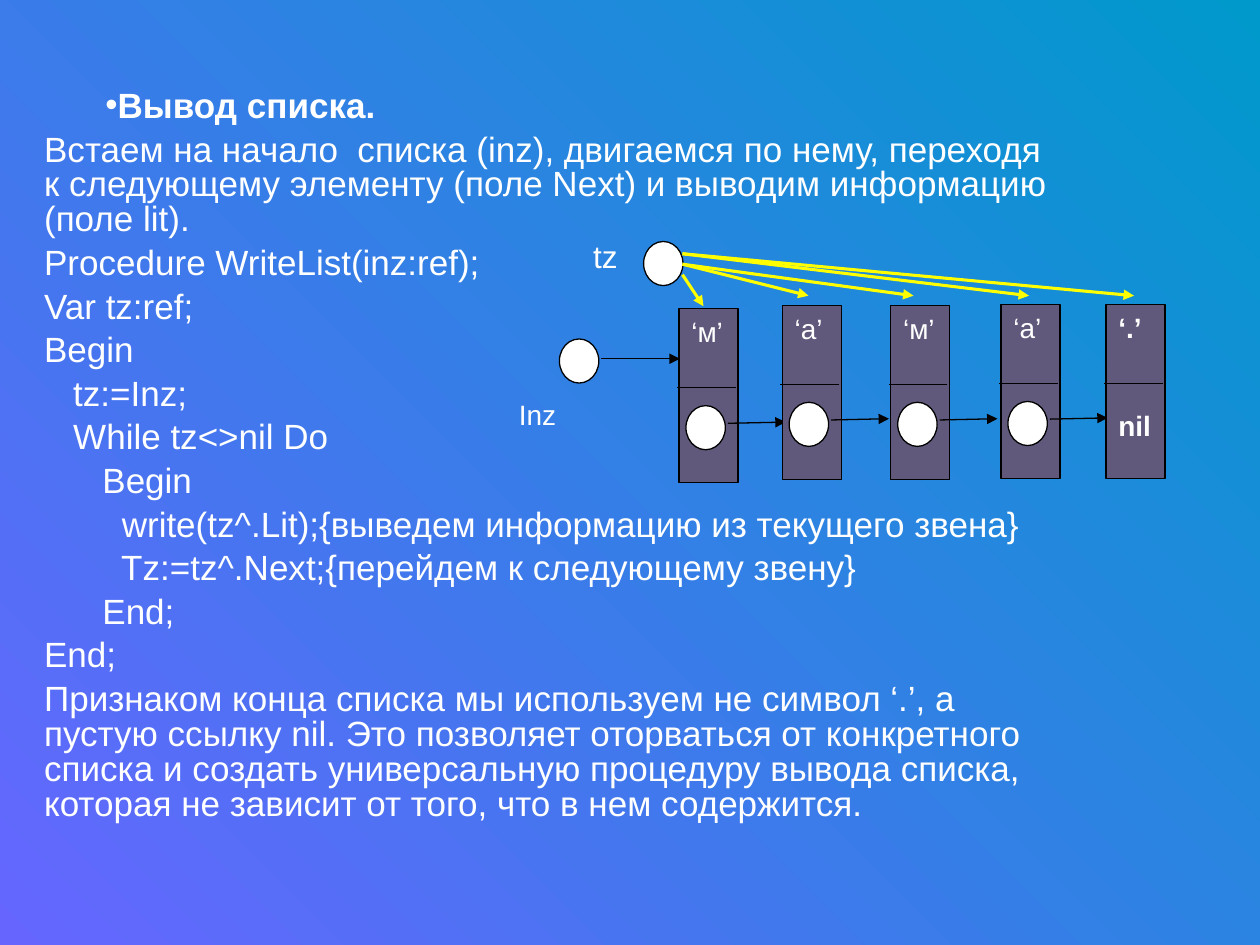
from dataclasses import dataclass

from lxml import etree
from pptx import Presentation
from pptx.dml import color
from pptx.enum import shapes, text
from pptx.oxml import ns
from pptx.util import Pt


@dataclass(frozen=True)
class Theme:
    font: str = "Arial"
    body_size: float = 20
    node_size: float = 16
    label_size: float = 18
    white: str = "FFFFFF"
    black: str = "000000"
    node: str = "60597B"
    pointer: str = "FFFF00"
    violet: str = "6666FF"
    teal: str = "0099CC"
    thin: float = 0.75
    thick: float = 1.75


@dataclass(frozen=True)
class Node:
    left: float
    top: float
    symbol: str
    last: bool = False


@dataclass(frozen=True)
class Arrow:
    start: tuple[float, float]
    end: tuple[float, float]


THEME = Theme()
NODE_WIDTH, NODE_HEIGHT = 33.8, 99.4
HEADING = "Вывод списка."
LINES = [
    "Встаем на начало  списка (inz), двигаемся по нему, переходя к следующему "
    "элементу (поле Next) и выводим информацию (поле lit).",
    "Procedure WriteList(inz:ref);",
    "Var tz:ref;",
    "Begin",
    "   tz:=Inz;",
    "   While tz<>nil Do",
    "      Begin",
    "        write(tz^.Lit);{выведем информацию из текущего звена}",
    "        Tz:=tz^.Next;{перейдем к следующему звену}",
    "      End;",
    "End;",
    "Признаком конца списка мы используем не символ ‘.’, а пустую ссылку nil. "
    "Это позволяет оторваться от конкретного списка и создать универсальную "
    "процедуру вывода списка, которая не зависит от того, что в нем содержится.",
]
NODES = [
    Node(388, 176.4, "‘м’"),
    Node(447, 174.5, "‘а’"),
    Node(509, 174.5, "‘м’"),
    Node(572, 174, "‘а’"),
    Node(632, 174, "‘.’", last=True),
]
TZ_ARROWS = [
    Arrow((390, 157), (402, 175)),
    Arrow((390, 151), (462, 169)),
    Arrow((390, 151), (522, 169)),
    Arrow((390, 145), (588, 169)),
    Arrow((390, 145), (648, 169)),
]


def rgb(value: str) -> color.RGBColor:
    return color.RGBColor.from_string(value)


def style_font(font, size: float, bold: bool = False) -> None:
    font.name = THEME.font
    font.size = Pt(size)
    font.bold = bold
    font.color.rgb = rgb(THEME.white)


def draw_line(page, arrow: Arrow, colour: str = THEME.black,
              weight: float = THEME.thin, head: bool = True) -> None:
    line = page.shapes.add_connector(
        shapes.MSO_CONNECTOR.STRAIGHT,
        *(Pt(value) for value in arrow.start + arrow.end))
    line.line.color.rgb = rgb(colour)
    line.line.width = Pt(weight)
    if head:
        etree.SubElement(line.line._get_or_add_ln(), ns.qn("a:tailEnd"), type="triangle")
    etree.SubElement(line._element.spPr, ns.qn("a:effectLst"))


def draw_shape(page, kind, left: float, top: float, width: float, height: float,
               fill: str):
    shape = page.shapes.add_shape(kind, Pt(left), Pt(top), Pt(width), Pt(height))
    shape.shadow.inherit = False
    shape.fill.solid()
    shape.fill.fore_color.rgb = rgb(fill)
    shape.line.color.rgb = rgb(THEME.black)
    shape.line.width = Pt(THEME.thin)
    return shape


def draw_pointer(page, left: float, top: float) -> None:
    draw_shape(page, shapes.MSO_SHAPE.OVAL, left, top, 22.5, 25.2, THEME.white)


def draw_node(page, node: Node) -> None:
    box = draw_shape(page, shapes.MSO_SHAPE.RECTANGLE, node.left, node.top,
                     NODE_WIDTH, NODE_HEIGHT, THEME.node)
    frame = box.text_frame
    frame.text = f"{node.symbol}\nnil" if node.last else node.symbol
    frame.vertical_anchor = text.MSO_ANCHOR.TOP
    for index, para in enumerate(frame.paragraphs):
        para.alignment = text.PP_ALIGN.LEFT
        if index:
            para.space_before = Pt(36.8)
        style_font(para.runs[0].font, THEME.node_size, bold=node.last)
    divider = node.top + 45.2
    draw_line(page, Arrow((node.left - 1, divider), (node.left + 32.4, divider)), head=False)
    if not node.last:
        draw_pointer(page, node.left + 4, node.top + 55.4)
        draw_line(page, Arrow((node.left + 28, node.top + 65.5),
                              (node.left + 61, node.top + 64.8)))


def draw_label(page, words: str, left: float, top: float, width: float,
               height: float, size: float, align) -> None:
    box = page.shapes.add_textbox(Pt(left), Pt(top), Pt(width), Pt(height))
    box.text_frame.word_wrap = True
    box.text_frame.text = words
    para = box.text_frame.paragraphs[0]
    para.alignment = align
    style_font(para.runs[0].font, size)


def write_body(box) -> None:
    box.left, box.top, box.width, box.height = Pt(18), Pt(48.2), Pt(594), Pt(468)
    frame = box.text_frame
    frame.text = "\n".join([HEADING, *LINES])
    frame.auto_size = text.MSO_AUTO_SIZE.NONE
    for index, para in enumerate(frame.paragraphs):
        heading = index == 0
        para.alignment = text.PP_ALIGN.JUSTIFY if heading else text.PP_ALIGN.LEFT
        para.line_spacing = 0.83
        para.space_before = Pt(0 if heading else 5)
        properties = para._p.get_or_add_pPr()
        properties.set("marL", "0")
        properties.set("indent", str(Pt(35 if heading else 0)))
        if heading:
            etree.SubElement(properties, ns.qn("a:buChar"), char="•")
        else:
            etree.SubElement(properties, ns.qn("a:buNone"))
        style_font(para.runs[0].font, THEME.body_size, bold=heading)


def paint_background(page) -> None:
    fill = page.background.fill
    fill.gradient()
    fill.gradient_angle = 45
    for stop, colour, position in zip(fill.gradient_stops, (THEME.violet, THEME.teal), (0, 1)):
        stop.color.rgb = rgb(colour)
        stop.position = position


def main() -> None:
    deck = Presentation()
    deck.slide_width, deck.slide_height = Pt(720), Pt(540)
    page = deck.slides.add_slide(deck.slide_layouts[1])
    title = page.shapes.title._element
    title.getparent().remove(title)
    paint_background(page)
    write_body(page.placeholders[1])
    for node in NODES:
        draw_node(page, node)
    draw_pointer(page, 319.7, 193.7)
    draw_line(page, Arrow((343.5, 205), (388.5, 205)))
    draw_label(page, "Inz", 239.8, 223.6, 134.6, 32, THEME.node_size, text.PP_ALIGN.CENTER)
    draw_pointer(page, 367.8, 138)
    for arrow in TZ_ARROWS:
        draw_line(page, arrow, THEME.pointer, THEME.thick)
    draw_label(page, "tz", 318, 132, 42, 29, THEME.label_size, text.PP_ALIGN.RIGHT)
    deck.save("out.pptx")


if __name__ == "__main__":
    main()
